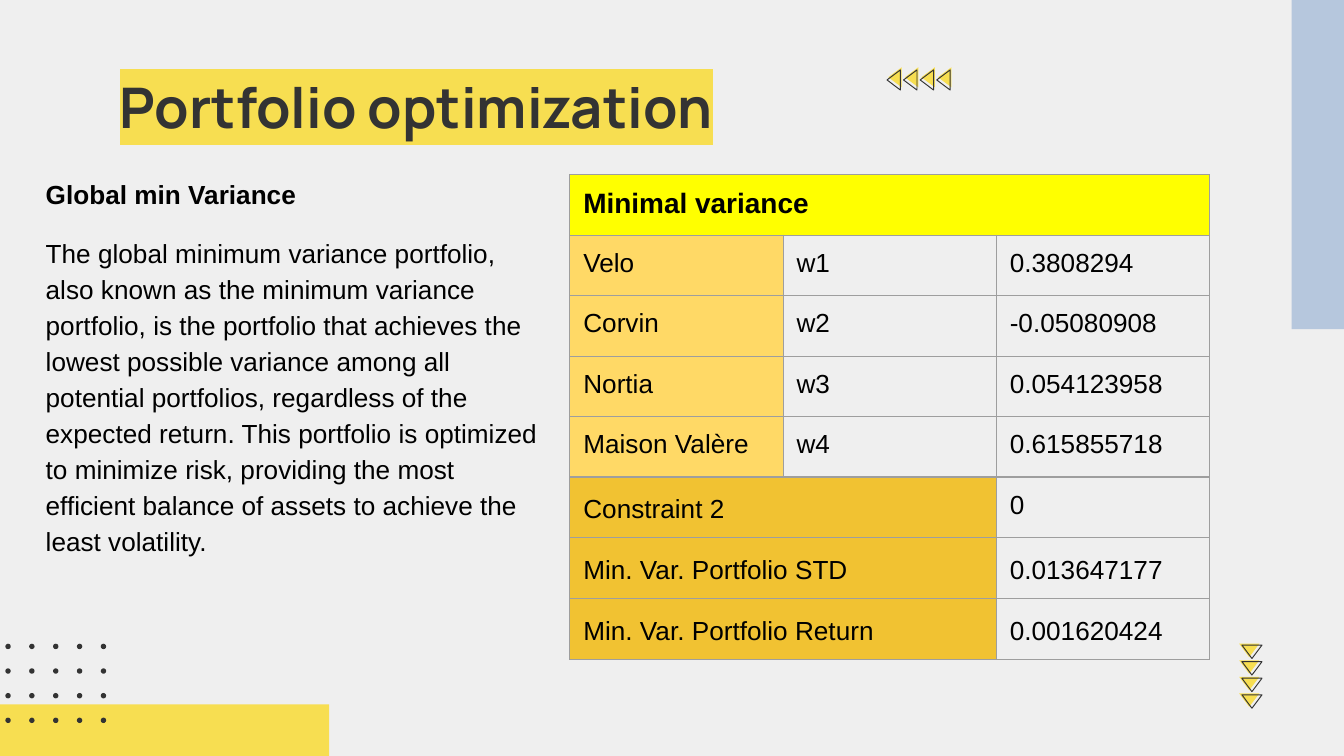
from dataclasses import dataclass

from lxml import etree
from pptx import Presentation
from pptx import util as u
from pptx.dml import color
from pptx.enum import shapes, text
from pptx.oxml import ns


@dataclass(frozen=True)
class Theme:
    background: str = "EFEFEF"
    blue: str = "B6C7DD"
    yellow: str = "F7DE51"
    dark: str = "333333"
    black: str = "000000"
    table_header: str = "FFFF00"
    table_asset: str = "FFD966"
    table_summary: str = "F1C232"
    border: str = "9E9E9E"
    title_font: str = "Manrope"
    body_font: str = "Arial"
    title_size: float = 30
    header_size: float = 15
    body_size: float = 14
    border_width: float = 0.75
    outline_width: float = 0.5
    line_spacing: float = 1.15


THEME = Theme()
ASSETS = [
    ("Velo", "w1", "0.3808294"),
    ("Corvin", "w2", "-0.05080908"),
    ("Nortia", "w3", "0.054123958"),
    ("Maison Valère", "w4", "0.615855718"),
]
# Label, value, line spacing of the value
SUMMARY = [
    ("Constraint 2", "0", 1),
    ("Min. Var. Portfolio STD", "0.013647177", THEME.line_spacing),
    ("Min. Var. Portfolio Return", "0.001620424", THEME.line_spacing),
]
HEADING = "Global min Variance"
DESCRIPTION = (
    "The global minimum variance portfolio, also known as the minimum variance "
    "portfolio, is the portfolio that achieves the lowest possible variance among "
    "all potential portfolios, regardless of the expected return. This portfolio is "
    "optimized to minimize risk, providing the most efficient balance of assets to "
    "achieve the least volatility."
)


def rgb(value):
    return color.RGBColor.from_string(value)


def style_font(font, size, name=THEME.body_font, fill=THEME.black, bold=False):
    font.size, font.name, font.bold = u.Pt(size), name, bold
    font.color.rgb = rgb(fill)


def style_shape(shape, fill=None, line=None):
    shape.shadow.inherit = False
    if fill:
        shape.fill.solid()
        shape.fill.fore_color.rgb = rgb(fill)
    else:
        shape.fill.background()
    if line:
        shape.line.color.rgb = rgb(line)
        shape.line.width = u.Pt(THEME.outline_width)
    else:
        shape.line.fill.background()


def add_preset(container, kind, left, top, width, height, fill):
    shape = container.add_shape(kind, *map(u.Inches, (left, top, width, height)))
    style_shape(shape, fill)


def add_triangle(container, points, **style):
    corners = [(u.Inches(x), u.Inches(y)) for x, y in points]
    builder = container.build_freeform(*corners[0], scale=1.0)
    builder.add_line_segments(corners[1:], close=True)
    style_shape(builder.convert_to_shape(), **style)


def add_arrow_row(slide, left, top, vertical=False):
    """Four triangles with offset outlines, pointing left or down."""
    group = slide.shapes.add_group_shape().shapes
    pitch, length, breadth = 0.37 / 3, 0.1, 0.15
    for index in range(4):
        if vertical:
            x, y = left, top + index * pitch
            points = [(x, y), (x + breadth / 2, y + length), (x + breadth, y)]
            shift_x, shift_y = 0.02, 0.01
        else:
            x, y = left + index * pitch, top
            points = [(x + length, y), (x, y + breadth / 2), (x + length, y + breadth)]
            shift_x, shift_y = -0.01, 0.02
        add_triangle(group, points, fill=THEME.yellow)
        outline = [(px + shift_x, py + shift_y) for px, py in points]
        add_triangle(group, outline, line=THEME.dark)


def add_dot_grid(slide, left, top, columns, rows):
    group = slide.shapes.add_group_shape().shapes
    for column in range(columns):
        for row in range(rows):
            add_preset(group, shapes.MSO_SHAPE.OVAL, left + column * 0.71 / 4,
                       top + row * 0.55 / 3, 0.04, 0.04, THEME.dark)


def place(shape, left, top, width, height):
    shape.left, shape.top, shape.width, shape.height = map(
        u.Inches, (left, top, width, height))
    frame = shape.text_frame
    frame.word_wrap = True
    frame.auto_size = text.MSO_AUTO_SIZE.NONE
    frame.vertical_anchor = text.MSO_ANCHOR.TOP
    frame.margin_left = frame.margin_right = u.Inches(0.1)
    frame.margin_top = frame.margin_bottom = u.Inches(0.1)
    return frame


def fill_title(slide):
    frame = place(slide.shapes.title, 0.79, 0.44, 8.43, 0.63)
    paragraph = frame.paragraphs[0]
    paragraph.alignment = text.PP_ALIGN.LEFT
    run = paragraph.add_run()
    run.text = "Portfolio optimization"
    style_font(paragraph.font, THEME.title_size, THEME.title_font, THEME.dark, True)
    highlight = etree.SubElement(run.font._element, ns.qn("a:highlight"))
    etree.SubElement(highlight, ns.qn("a:srgbClr"), val=THEME.yellow)


def fill_body(slide):
    frame = place(slide.placeholders[1], 0.24, 1.23, 3.9, 4.39)
    frame.text = f"{HEADING}\n{DESCRIPTION}"
    heading, description = frame.paragraphs
    for paragraph in (heading, description):
        style_font(paragraph.font, THEME.body_size, bold=paragraph is heading)
        paragraph.space_before = u.Pt(0)
        # Plain paragraphs: no indent, and no bullet
        properties = paragraph._p.get_or_add_pPr()
        properties.set("marL", "0")
        properties.set("indent", "0")
        defaults = properties.find(ns.qn("a:defRPr"))
        defaults.addprevious(etree.Element(ns.qn("a:buNone")))
    description.space_before = u.Pt(12)
    description.line_spacing = THEME.line_spacing


def add_borders(cell):
    properties = cell._tc.get_or_add_tcPr()
    for index, side in enumerate(("lnL", "lnR", "lnT", "lnB")):
        line = etree.Element(ns.qn(f"a:{side}"), w=str(u.Pt(THEME.border_width)))
        solid = etree.SubElement(line, ns.qn("a:solidFill"))
        etree.SubElement(solid, ns.qn("a:srgbClr"), val=THEME.border)
        properties.insert(index, line)


def fill_cell(cell, content, fill=None, size=THEME.body_size, bold=False, spacing=1):
    cell.text = content
    paragraph = cell.text_frame.paragraphs[0]
    style_font(paragraph.font, size, bold=bold)
    paragraph.line_spacing = spacing
    if fill:
        cell.fill.solid()
        cell.fill.fore_color.rgb = rgb(fill)


def add_variance_table(slide):
    row_count, row_height = 1 + len(ASSETS) + len(SUMMARY), 0.45
    table = slide.shapes.add_table(
        row_count, 3, u.Inches(4.24), u.Inches(1.3),
        u.Inches(4.76), u.Inches(row_count * row_height)).table
    table.first_row = table.horz_banding = False
    for cell in table.iter_cells():
        cell.margin_left = cell.margin_right = u.Inches(0.1)
        cell.margin_top = cell.margin_bottom = u.Inches(0.1)
        cell.fill.background()
        add_borders(cell)

    # Header
    table.cell(0, 0).merge(table.cell(0, 2))
    fill_cell(table.cell(0, 0), "Minimal variance", THEME.table_header,
              THEME.header_size, bold=True)
    # Weights
    for row, values in enumerate(ASSETS, start=1):
        for column, value in enumerate(values):
            fill_cell(table.cell(row, column), value,
                      None if column else THEME.table_asset)
    # Constraint and results
    for row, (label, value, spacing) in enumerate(SUMMARY, start=1 + len(ASSETS)):
        table.cell(row, 0).merge(table.cell(row, 1))
        fill_cell(table.cell(row, 0), label, THEME.table_summary,
                  spacing=THEME.line_spacing)
        fill_cell(table.cell(row, 2), value, spacing=spacing)


def main():
    presentation = Presentation()
    presentation.slide_width = u.Inches(10)
    presentation.slide_height = u.Inches(10 * 9 / 16)
    slide = presentation.slides.add_slide(presentation.slide_layouts[1])
    slide.background.fill.solid()
    slide.background.fill.fore_color.rgb = rgb(THEME.background)

    # Decoration
    rectangle = shapes.MSO_SHAPE.RECTANGLE
    add_preset(slide.shapes, rectangle, 9.61, 0, 0.39, 2.45, THEME.blue)
    add_preset(slide.shapes, rectangle, 0, 5.24, 2.45, 0.39, THEME.yellow)
    add_dot_grid(slide, 0.04, 4.79, columns=5, rows=4)
    add_arrow_row(slide, 6.61, 0.5)
    add_arrow_row(slide, 9.22, 4.79, vertical=True)

    # Content
    fill_title(slide)
    add_variance_table(slide)
    fill_body(slide)
    presentation.save("out.pptx")


if __name__ == "__main__":
    main()
